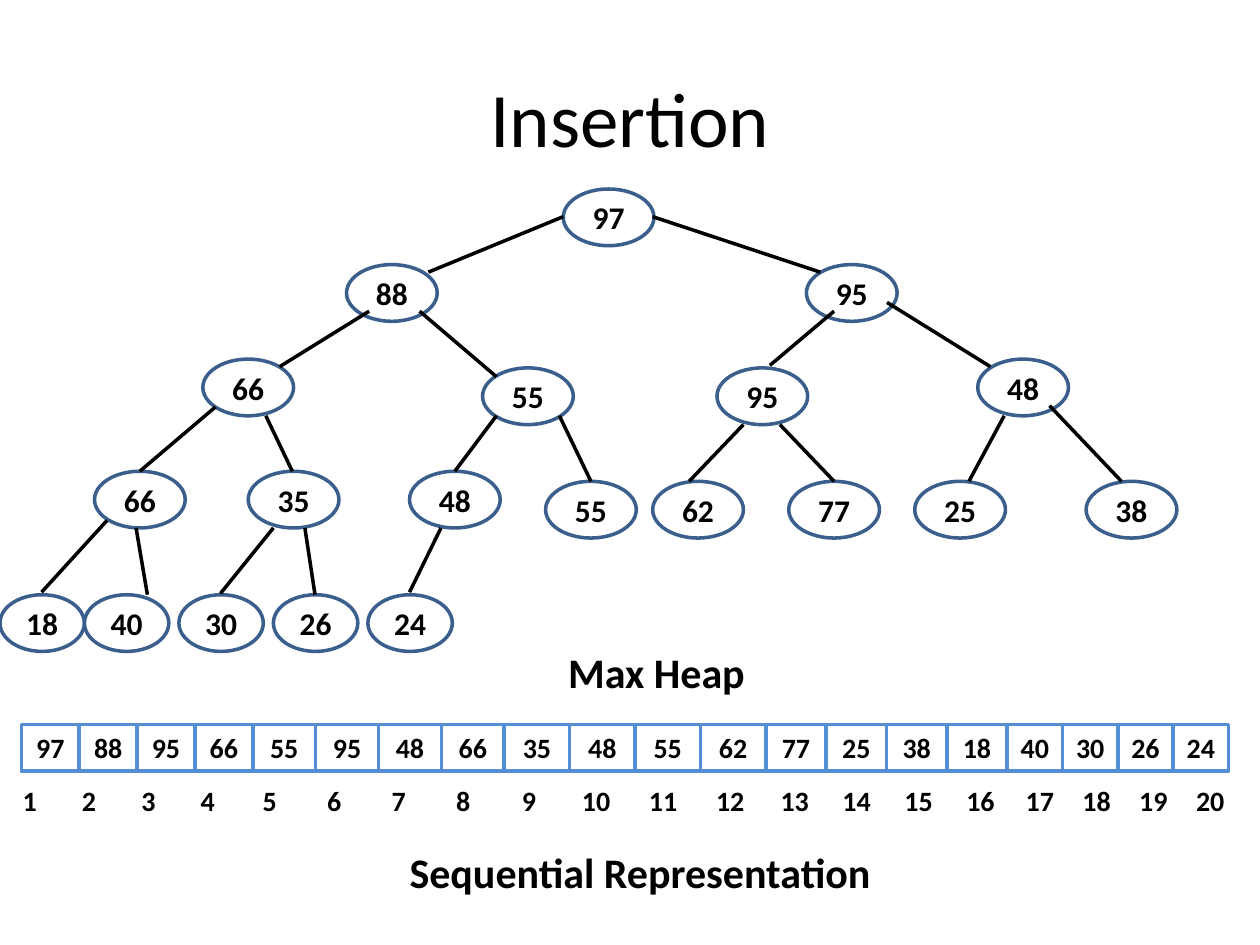
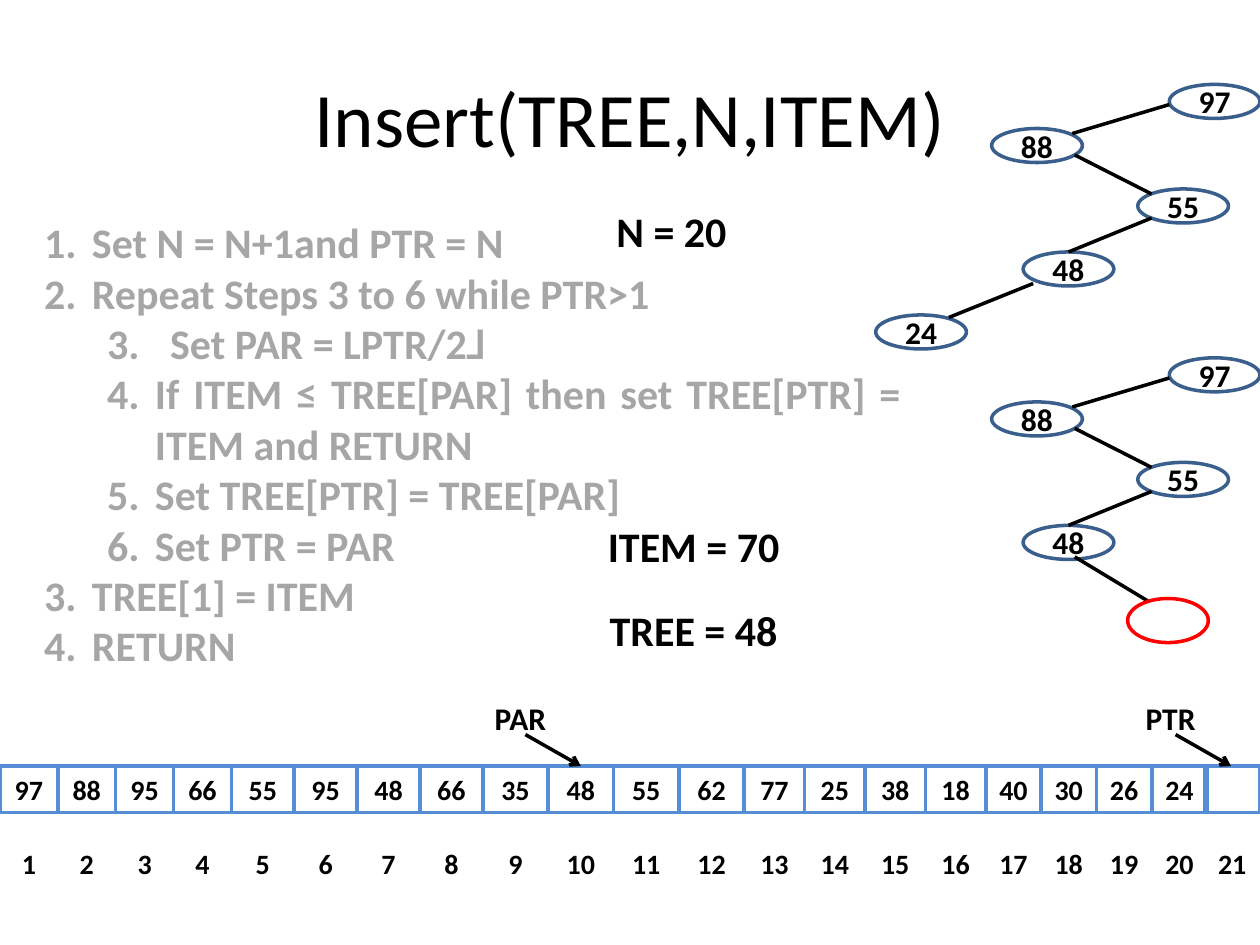
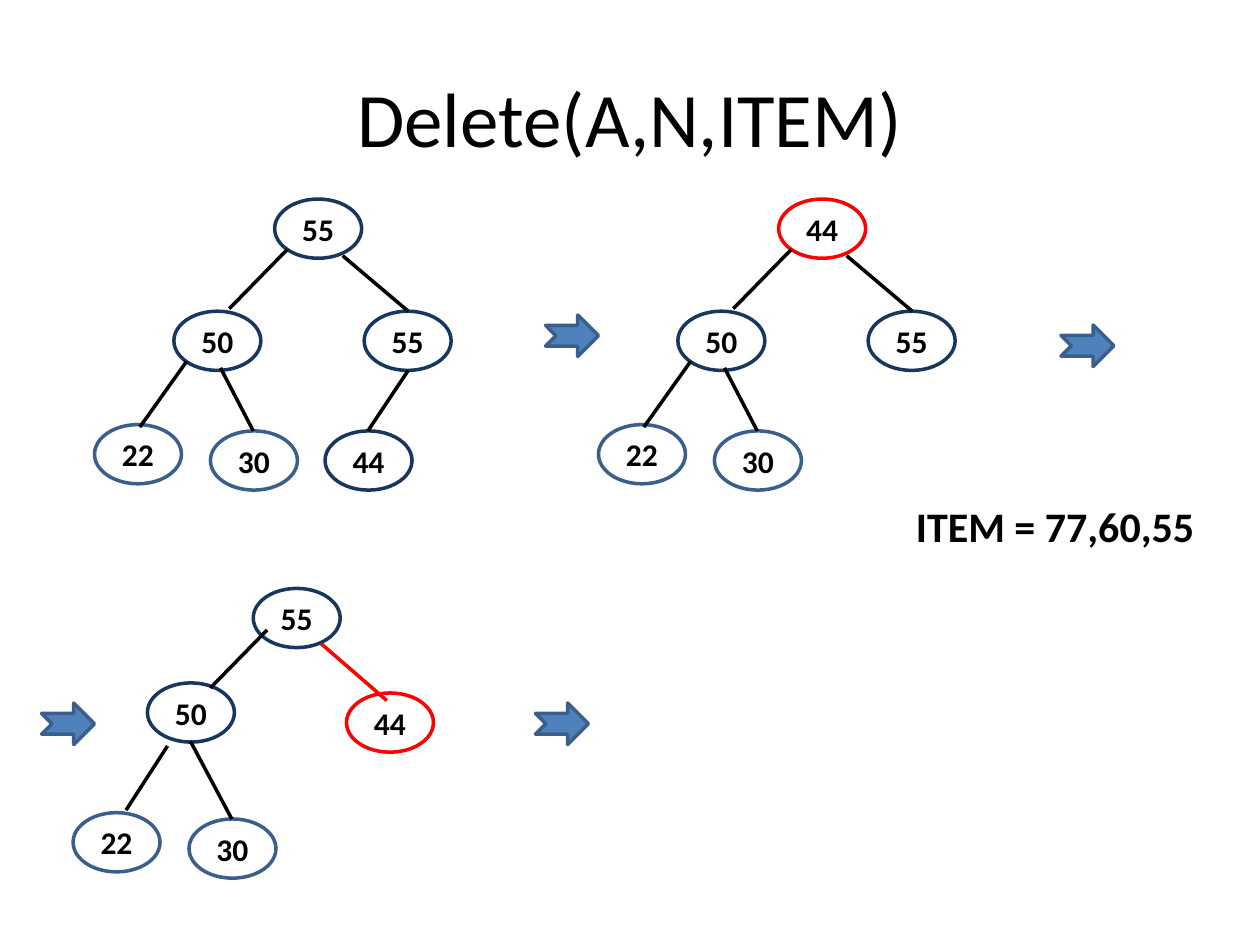
from itertools import accumulate
from lxml.etree import SubElement
from pptx import Presentation
from pptx.dml.color import RGBColor
from pptx.enum.shapes import MSO_CONNECTOR, MSO_SHAPE
from pptx.enum.text import MSO_ANCHOR, MSO_AUTO_SIZE, PP_ALIGN
from pptx.oxml.ns import qn
from pptx.util import Inches, Pt

BLACK = RGBColor(0x00, 0x00, 0x00)
WHITE = RGBColor(0xFF, 0xFF, 0xFF)
GREY = RGBColor(0xA6, 0xA6, 0xA6)
STEEL = RGBColor(0x3A, 0x5F, 0x8C)
NAVY = RGBColor(0x17, 0x37, 0x5E)
BLUE = RGBColor(0x4F, 0x81, 0xBD)
SKY = RGBColor(0x55, 0x8E, 0xD5)
RED = RGBColor(0xFF, 0x00, 0x00)

TITLE = {"name": "Calibri", "size": Pt(44)}
HEAD = {"name": "Calibri", "size": Pt(24), "bold": True}
NODE = {"name": "Calibri", "size": Pt(18), "bold": True}
CELL = {"name": "Calibri", "size": Pt(16), "bold": True}

HEAP = [97, 88, 95, 66, 55, 95, 48, 66, 35, 48,
        55, 62, 77, 25, 38, 18, 40, 30, 26, 24]
PARTS = [part for part in (0.46, 0.5, 0.52, 0.48, 0.44) for _ in range(4)]


def write(para, text, form, color=BLACK, align=PP_ALIGN.CENTER):
    run = para.add_run()
    run.text = str(text)
    for key, value in form.items():
        setattr(run.font, key, value)
    run.font.color.rgb = color
    para.alignment = align


def begin(deck, layout, text):
    slide = deck.slides.add_slide(deck.slide_layouts[layout])
    write(slide.shapes.title.text_frame.paragraphs[0], text, TITLE)
    return slide


def shape(shapes, kind, box, line, text="", form=NODE,
          anchor=MSO_ANCHOR.MIDDLE, fill=None):
    item = shapes.add_shape(kind, *map(Inches, box))
    item.shadow.inherit = False
    if fill is None:
        item.fill.background()
    else:
        item.fill.solid()
        item.fill.fore_color.rgb = fill
    item.line.color.rgb = line
    item.line.width = Pt(2)
    if text != "":
        item.text_frame.vertical_anchor = anchor
        write(item.text_frame.paragraphs[0], text, form)


def edge(shapes, ends, color=BLACK, arrow=False):
    line = shapes.add_connector(MSO_CONNECTOR.STRAIGHT, *map(Inches, ends))
    line.line.color.rgb = color
    line.line.width = Pt(2)
    props = line._element.spPr
    if arrow:
        SubElement(props.find(qn("a:ln")), qn("a:tailEnd"), type="arrow")
    SubElement(props, qn("a:effectLst"))


def label(shapes, box, text, form=HEAD, align=PP_ALIGN.CENTER):
    frame = shapes.add_textbox(*map(Inches, box)).text_frame
    frame.word_wrap = True
    write(frame.paragraphs[0], text, form, align=align)


def tree(slide, left, top, size, nodes, edges):
    shapes = slide.shapes.add_group_shape().shapes
    for text, x, y, *tint in nodes:
        color = tint[0] if tint else STEEL
        shape(shapes, MSO_SHAPE.OVAL, (left + x, top + y, *size), color, text)
    for x1, y1, x2, y2, *tint in edges:
        edge(shapes, (left + x1, top + y1, left + x2, top + y2), *tint)


def row(slide, box, values, color):
    left, top, width, height = box
    unit = width / sum(PARTS)
    shapes = slide.shapes.add_group_shape().shapes
    starts = accumulate(PARTS, initial=0)
    for value, start, part in zip(values, starts, PARTS):
        cell(shapes, (left + start * unit, top, part * unit, height),
             value, color)


def cell(shapes, box, value, color):
    shape(shapes, MSO_SHAPE.RECTANGLE, box, color, value, CELL,
          MSO_ANCHOR.TOP)


def steps(slide, box, items):
    body = slide.placeholders[1]
    body.left, body.top, body.width, body.height = map(Inches, box)
    frame = body.text_frame
    frame.auto_size = MSO_AUTO_SIZE.NONE
    for i, (text, level, margin, hang) in enumerate(items):
        para = frame.add_paragraph() if i else frame.paragraphs[0]
        para.level = level
        para.space_before = Pt(0)
        write(para, text, HEAD, GREY, PP_ALIGN.JUSTIFY)
        props = para._p.get_or_add_pPr()
        props.set("marL", str(Inches(margin)))
        props.set("indent", str(-Inches(hang)))
        SubElement(props, qn("a:buFont"), typeface="+mj-lt")
        mark = SubElement(props, qn("a:buAutoNum"), type="arabicPeriod")
        if level:
            mark.set("startAt", "3")


def pointer(slide, left, top, text):
    shapes = slide.shapes.add_group_shape().shapes
    label(shapes, (left, top, 0.92, 0.4), text, NODE)
    edge(shapes, (left + 0.5, top + 0.33, left + 0.94, top + 0.58),
         arrow=True)


def insertion(deck):
    slide = begin(deck, 5, "Insertion")
    tree(slide, 0, 1.5, (0.72, 0.45), [
        (97, 4.47, 0), (88, 2.75, 0.6), (95, 6.4, 0.6),
        (66, 1.61, 1.35), (55, 3.83, 1.42), (95, 5.69, 1.42),
        (48, 7.76, 1.35), (66, 0.75, 2.24), (35, 1.97, 2.24),
        (48, 3.25, 2.24), (55, 4.33, 2.32), (62, 5.18, 2.32),
        (77, 6.26, 2.32), (25, 7.26, 2.32), (38, 8.62, 2.32),
    ], [
        (3.4, 0.66, 4.47, 0.22), (5.18, 0.22, 6.51, 0.66),
        (2.22, 1.41, 2.93, 0.97), (3.33, 0.97, 3.94, 1.49),
        (6.11, 1.4, 6.62, 0.97), (7.04, 0.9, 7.86, 1.41),
        (1.11, 2.24, 1.71, 1.73), (2.11, 1.8, 2.32, 2.24),
        (3.61, 2.24, 3.94, 1.8), (4.44, 1.8, 4.69, 2.32),
        (5.47, 2.32, 5.9, 1.87), (6.19, 1.87, 6.62, 2.32),
        (7.69, 2.32, 7.97, 1.8), (8.33, 1.72, 8.9, 2.32),
    ])
    tree(slide, 0, 4.72, (0.67, 0.45), [
        (18, 0, 0), (40, 0.67, 0), (30, 1.42, 0),
        (26, 2.17, 0), (24, 2.92, 0),
    ], [
        (0.33, -0.02, 0.85, -0.59), (1.08, -0.53, 1.17, 0),
        (1.75, -0.01, 2.17, -0.53), (2.42, -0.53, 2.5, 0),
        (3.25, -0.02, 3.5, -0.53),
    ])
    row(slide, (0.17, 5.75, 9.58, 0.37), HEAP, SKY)
    label(slide.shapes, (3.75, 5.08, 2.92, 0.5), "Max Heap")
    label(slide.shapes, (2.83, 6.67, 4.5, 0.5), "Sequential Representation")
    row(slide, (0, 6.17, 9.83, 0.42), range(1, 21), WHITE)


def insert(deck):
    slide = begin(deck, 1, "Insert(TREE,N,ITEM)")
    shapes = slide.shapes
    for top, values, last, color in ((6.08, HEAP, "", SKY),
                                     (6.67, range(1, 21), 21, WHITE)):
        row(slide, (0, top, 9.58, 0.37), values, color)
        cell(shapes, (9.56, top, 0.44, 0.37), last, color)
    outer, inner = (0, 0.38, 0.38), (1, 0.88, 0.38)
    steps(slide, (0.25, 1.67, 7, 3.74), [
        ("Set N = N+1and PTR = N", *outer),
        ("Repeat Steps 3 to 6 while PTR>1", *outer),
        ("Set PAR = LPTR/2\u02e9", 1, 1, 0.5),
        ("If ITEM \u2264 TREE[PAR] then set TREE[PTR] = ITEM and RETURN",
         *inner),
        ("Set TREE[PTR] = TREE[PAR]", *inner),
        ("Set PTR = PAR", *inner),
        ("TREE[1] = ITEM", *outer),
        ("RETURN", *outer),
    ])
    label(shapes, (4.58, 1.58, 1.5, 0.5), "N = 20")
    label(shapes, (4.67, 4.08, 1.67, 0.5), "ITEM = 70")
    label(shapes, (4.67, 4.75, 1.67, 0.5), "TREE = 48")
    nodes = [(97, 2.33, 0), (88, 0.92, 0.35), (55, 2.08, 0.83),
             (48, 1.17, 1.33)]
    edges = [(1.56, 0.39, 2.33, 0.16), (1.58, 0.56, 2.19, 0.87),
             (1.53, 1.33, 2.19, 1.06)]
    size = (0.72, 0.27)
    tree(slide, 6.95, 0.67, size, nodes + [(24, 0, 1.83)],
         edges + [(0.58, 1.85, 1.25, 1.58)])
    tree(slide, 6.95, 2.84, size, nodes,
         edges + [(1.58, 1.58, 2.16, 1.93)])
    shape(shapes, MSO_SHAPE.OVAL, (8.95, 4.75, 0.64, 0.35), RED)
    pointer(slide, 8.83, 5.5, "PTR")
    pointer(slide, 3.67, 5.5, "PAR")


def delete(deck):
    slide = begin(deck, 5, "Delete(A,N,ITEM)")
    label(slide.shapes, (7.17, 3.92, 2.58, 0.5), "ITEM = 77,60,55",
          align=PP_ALIGN.LEFT)
    size = (0.69, 0.47)
    nodes = [(50, 0.63, 0.89, NAVY), (55, 2.14, 0.89, NAVY),
             (22, 0, 1.79), (30, 0.92, 1.84)]
    edges = [(1.07, 0.87, 1.53, 0.4), (1.97, 0.45, 2.49, 0.89),
             (0.36, 1.81, 0.73, 1.29), (1, 1.34, 1.26, 1.84)]
    tree(slide, 0.75, 1.58, size,
         [(55, 1.43, 0, NAVY), *nodes, (44, 1.83, 1.84, NAVY)],
         edges + [(2.17, 1.84, 2.49, 1.36)])
    tree(slide, 4.75, 1.58, size, [(44, 1.43, 0, RED), *nodes], edges)
    tree(slide, 0.58, 4.67, size, [
        (55, 1.43, 0, NAVY), (44, 2.17, 0.83, RED), (50, 0.59, 0.75, NAVY),
        (22, 0, 1.78), (30, 0.92, 1.83),
    ], [
        (1.09, 0.79, 1.54, 0.33), (1.97, 0.44, 2.49, 0.89, RED),
        (0.42, 1.76, 0.75, 1.25), (0.93, 1.21, 1.26, 1.83),
    ])
    for left, top in ((4.33, 2.5), (8.42, 2.58), (4.25, 5.58), (0.33, 5.58)):
        shape(slide.shapes, MSO_SHAPE.NOTCHED_RIGHT_ARROW,
              (left, top, 0.42, 0.33), STEEL, fill=BLUE)


deck = Presentation()
deck.slide_width, deck.slide_height = Inches(10), Inches(7.5)
insertion(deck)
insert(deck)
delete(deck)
deck.save("out.pptx")
